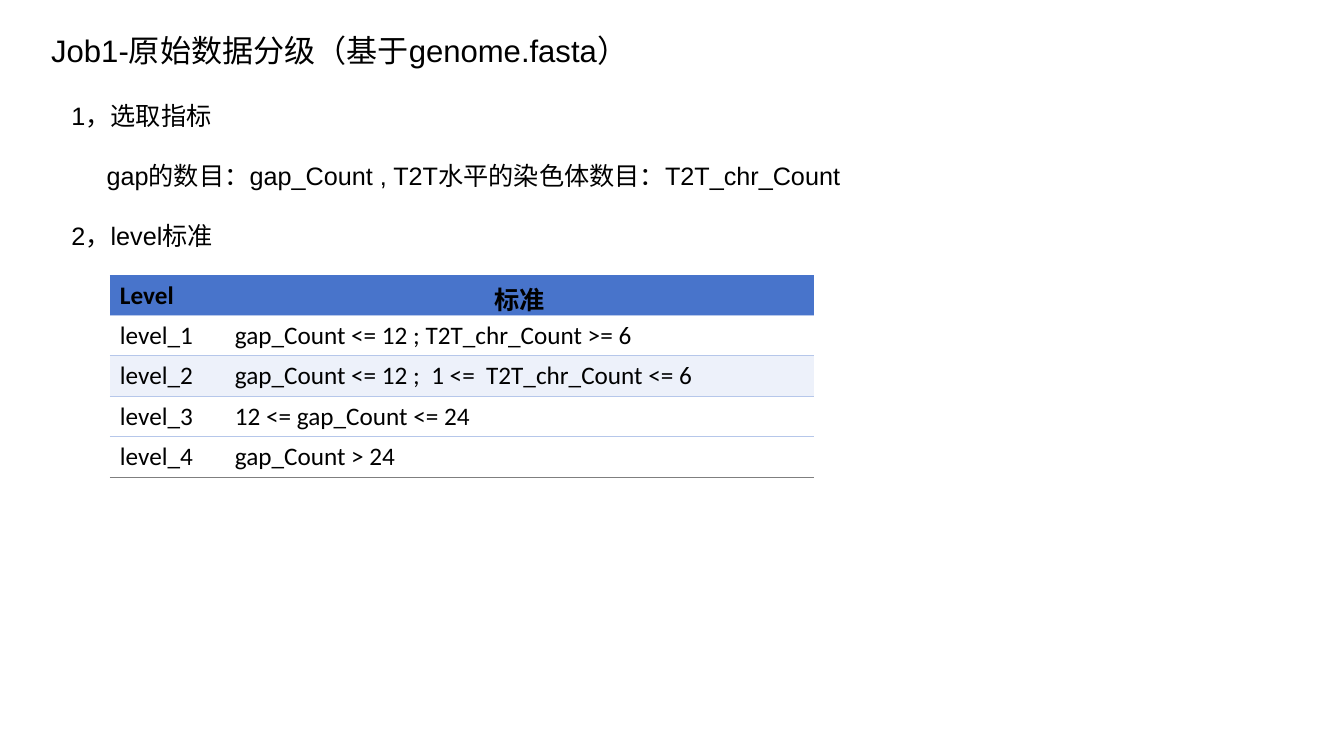
"""Build the slide that grades raw genome data by gap and T2T counts."""
from dataclasses import dataclass
from typing import Optional

from lxml.etree import SubElement
from pptx import Presentation
from pptx.dml.color import RGBColor
from pptx.enum.text import MSO_ANCHOR, PP_ALIGN
from pptx.oxml.ns import qn
from pptx.slide import Slide
from pptx.table import _Cell
from pptx.text.text import TextFrame, _Paragraph
from pptx.util import Inches, Pt

COLORS = {
    "text": "000000",
    "header": "4874CB",
    "plain": "FFFFFF",
    "band": "EDF1FA",
    "rule": "B6C7EA",
    "bottom": "7F7F7F",
}


@dataclass(frozen=True)
class Line:
    text: str
    indent: float = 0


@dataclass(frozen=True)
class Grade:
    level: str
    standard: str
    fill: str = "plain"


TITLE = "Job1-原始数据分级（基于genome.fasta）"
STEPS = [
    Line("1，选取指标"),
    Line("gap的数目：gap_Count , T2T水平的染色体数目：T2T_chr_Count", 0.35),
    Line("2，level标准"),
]
GRADES = [
    Grade("Level", "标准", "header"),
    Grade("level_1", "gap_Count <= 12 ; T2T_chr_Count >= 6"),
    Grade("level_2", "gap_Count <= 12 ;  1 <=  T2T_chr_Count <= 6", "band"),
    Grade("level_3", "12 <= gap_Count <= 24"),
    Grade("level_4", "gap_Count > 24"),
]
COLUMN_WIDTHS = (1.14, 5.84)
ROW_HEIGHT = 0.4


def write(paragraph: _Paragraph, text: str, size: float, font: str = "Arial",
          bold: bool = False) -> None:
    """Add one formatted run to a paragraph."""
    run = paragraph.add_run()
    run.text = text
    run.font.name = font
    run.font.size = Pt(size)
    run.font.bold = bold
    run.font.color.rgb = RGBColor.from_string(COLORS["text"])


def add_text_area(slide: Slide, left: float, top: float, width: float,
                  height: float) -> TextFrame:
    """Add a wrapping text box and return its frame."""
    box = slide.shapes.add_textbox(Inches(left), Inches(top), Inches(width), Inches(height))
    box.text_frame.word_wrap = True
    return box.text_frame


def add_title(slide: Slide) -> None:
    """Add the slide heading."""
    heading = add_text_area(slide, 0.41, 0.16, 6.2, 0.72)
    heading.vertical_anchor = MSO_ANCHOR.MIDDLE
    heading.paragraphs[0].line_spacing = 0.9
    write(heading.paragraphs[0], TITLE, 22.2)


def add_steps(slide: Slide) -> None:
    """Add the numbered steps, evenly spaced."""
    steps = add_text_area(slide, 0.61, 0.95, 9.1, 1.92)
    for index, line in enumerate(STEPS):
        paragraph = steps.add_paragraph() if index else steps.paragraphs[0]
        if index:
            paragraph.space_before = Pt(21)
        if line.indent:
            paragraph._p.get_or_add_pPr().set("marL", str(Inches(line.indent)))
        write(paragraph, line.text, 18)


def set_borders(cell: _Cell, top: str, bottom: str) -> None:
    """Rule a cell above and below and leave its sides open."""
    properties = cell._tc.get_or_add_tcPr()
    sides: dict[str, Optional[str]] = {"lnL": None, "lnR": None, "lnT": top, "lnB": bottom}
    for position, (side, color) in enumerate(sides.items()):
        border = SubElement(properties, qn(f"a:{side}"), w=str(Pt(0.75)))
        if color is None:
            SubElement(border, qn("a:noFill"))
        else:
            solid = SubElement(border, qn("a:solidFill"))
            SubElement(solid, qn("a:srgbClr"), val=COLORS[color])
        properties.insert(position, border)


def add_grades(slide: Slide) -> None:
    """Add the table of levels and their standards."""
    table = slide.shapes.add_table(
        len(GRADES), len(COLUMN_WIDTHS), Inches(1.09), Inches(2.73),
        Inches(sum(COLUMN_WIDTHS)), Inches(ROW_HEIGHT * len(GRADES))).table
    table.first_row = True
    table.horz_banding = False
    for column, width in zip(table.columns, COLUMN_WIDTHS):
        column.width = Inches(width)
    for index, grade in enumerate(GRADES):
        table.rows[index].height = Inches(ROW_HEIGHT)
        is_header = index == 0
        is_last = index == len(GRADES) - 1
        for column, text in enumerate((grade.level, grade.standard)):
            cell = table.cell(index, column)
            cell.fill.solid()
            cell.fill.fore_color.rgb = RGBColor.from_string(COLORS[grade.fill])
            set_borders(cell, "header" if is_header else "rule",
                        "bottom" if is_last else "rule")
            paragraph = cell.text_frame.paragraphs[0]
            if is_header:
                cell.vertical_anchor = MSO_ANCHOR.MIDDLE
                paragraph.alignment = PP_ALIGN.CENTER if column else PP_ALIGN.LEFT
            write(paragraph, text, 18, "Calibri", is_header)


def main() -> None:
    """Build and save the presentation."""
    presentation = Presentation()
    presentation.slide_width = Inches(13.33)
    presentation.slide_height = Inches(7.5)
    slide = presentation.slides.add_slide(presentation.slide_layouts[6])
    add_title(slide)
    add_steps(slide)
    add_grades(slide)
    presentation.save("out.pptx")


if __name__ == "__main__":
    main()
